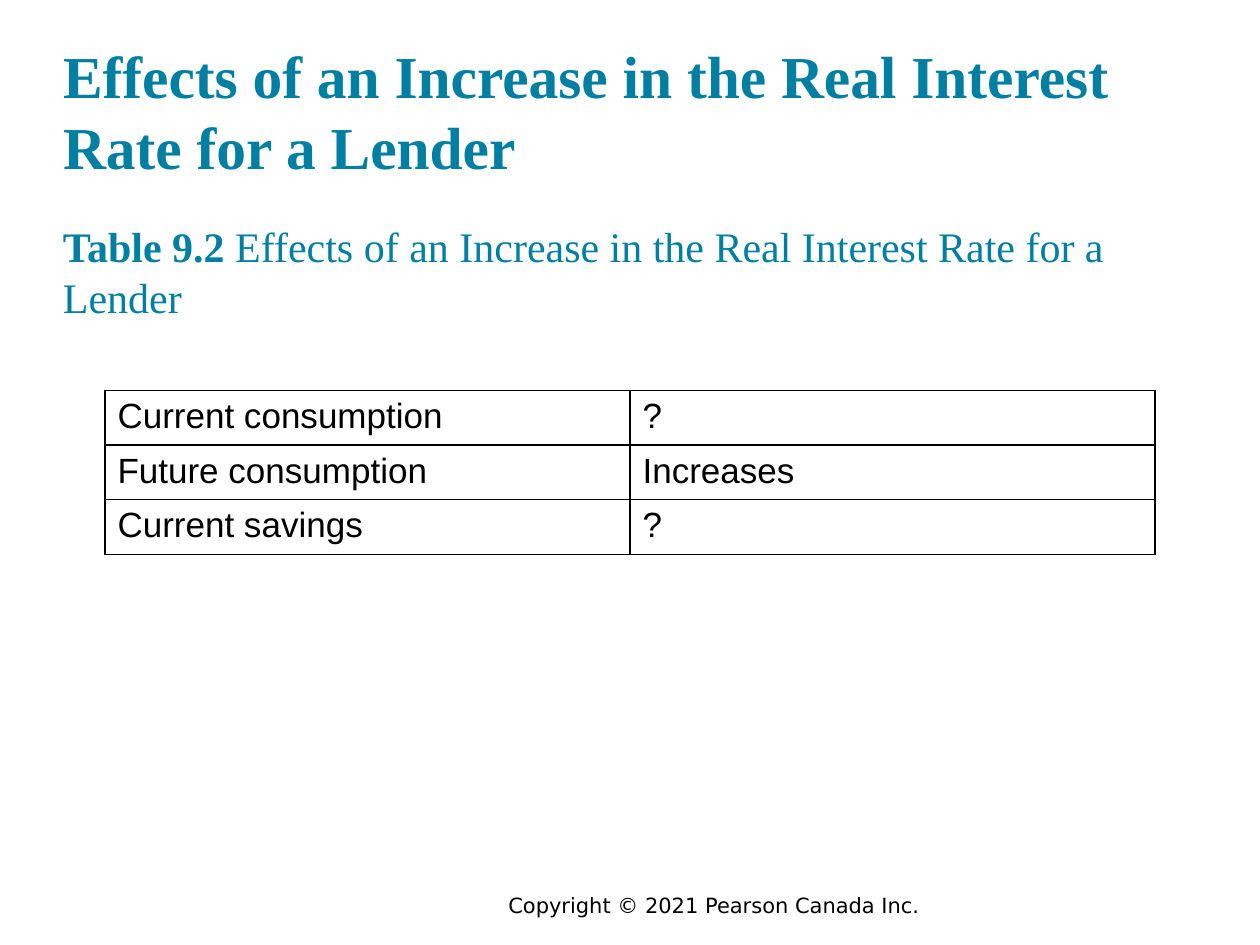
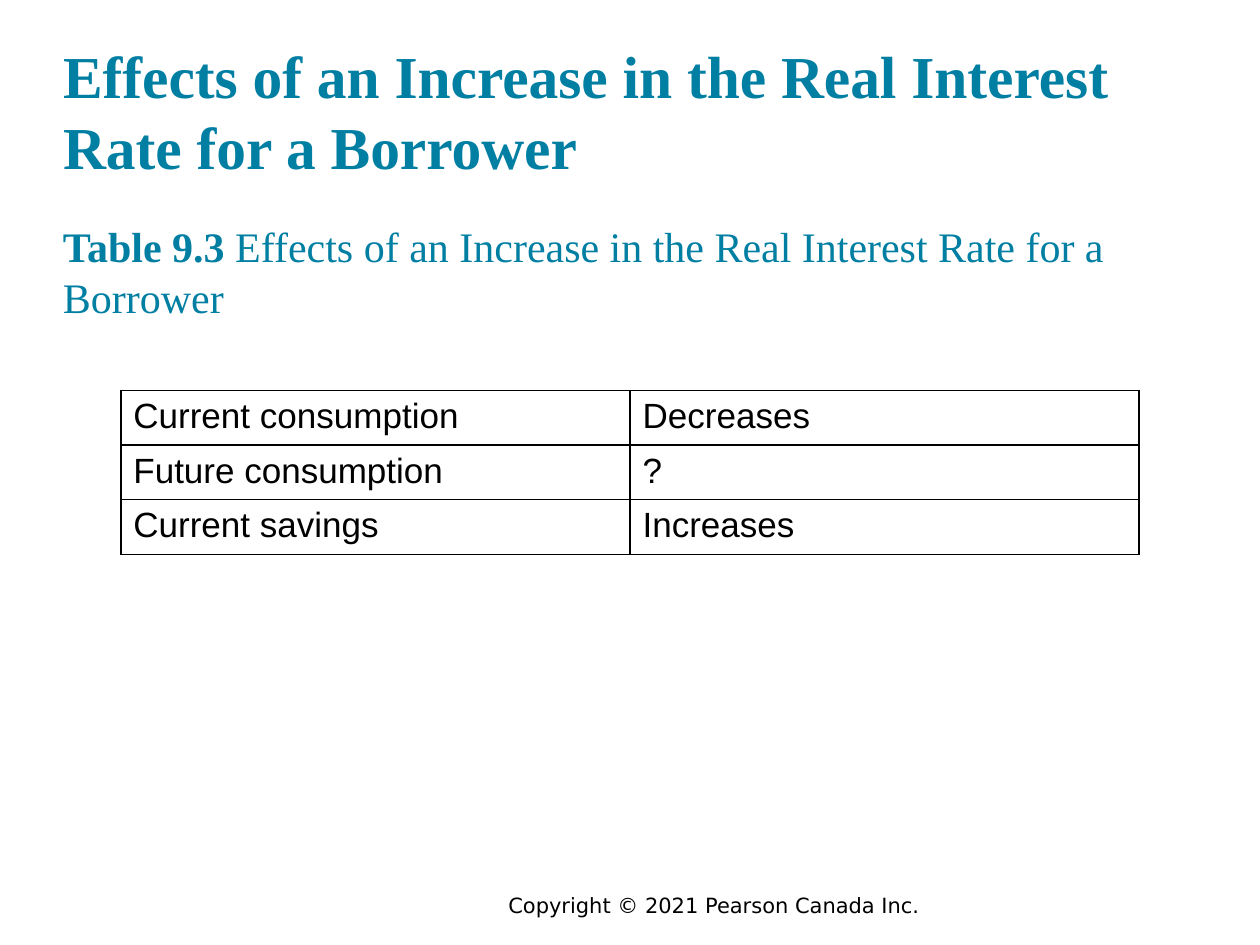
"""Build two slides on how a higher real interest rate affects lenders and borrowers."""
from lxml import etree
from pptx import Presentation
from pptx import util as u
from pptx.dml.color import RGBColor
from pptx.enum import text
from pptx.oxml import ns

TEAL = RGBColor(0x00, 0x7F, 0xA3)
BLACK = RGBColor(0x00, 0x00, 0x00)
SERIF, SANS, FOOTER_FONT = "Times New Roman", "Arial", "DejaVu Sans"
WIDTH, HEIGHT = u.Cm(25.4), u.Cm(19.05)
LEFT, TEXT_WIDTH = u.Cm(1.27), u.Cm(22.86)
ROW_HEIGHT = u.Cm(1.04)
HEADLINE = "Effects of an Increase in the Real Interest Rate for a "
FOOTER = "Copyright © 2021 Pearson Canada Inc."


def place(sp, left, top, width, height):
    sp.left, sp.top, sp.width, sp.height = left, top, width, height


def set_font(p, name, size, color, bold=None):
    f = p.font
    f.name, f.size, f.bold = name, u.Pt(size), bold
    f.color.rgb = color


def clear_insets(tf):
    tf.word_wrap = True
    tf.auto_size = text.MSO_AUTO_SIZE.NONE
    tf.margin_left = tf.margin_top = tf.margin_right = tf.margin_bottom = 0


def add_title(s, title):
    sp = s.shapes.title
    place(sp, LEFT, u.Cm(0.61), TEXT_WIDTH, u.Cm(3.05))
    tf = sp.text_frame
    clear_insets(tf)
    tf.vertical_anchor = text.MSO_ANCHOR.BOTTOM
    tf.text = title
    p = tf.paragraphs[0]
    p.alignment = text.PP_ALIGN.LEFT
    set_font(p, SERIF, 34, TEAL, True)


def add_caption(s, label, title):
    sp = s.shapes.add_textbox(LEFT, u.Cm(4.45), TEXT_WIDTH, u.Cm(2.54))
    tf = sp.text_frame
    clear_insets(tf)
    p = tf.paragraphs[0]
    set_font(p, SERIF, 24, TEAL)
    for words, bold in ((label, True), (" " + title, False)):
        r = p.add_run()
        r.text = words
        r.font.bold = bold


def add_borders(cell):
    tc_pr = cell._tc.get_or_add_tcPr()
    for i, side in enumerate(("a:lnL", "a:lnR", "a:lnT", "a:lnB")):
        ln = etree.Element(ns.qn(side), w=str(u.Pt(1)))
        fill = etree.SubElement(ln, ns.qn("a:solidFill"))
        etree.SubElement(fill, ns.qn("a:srgbClr"), val=str(BLACK))
        tc_pr.insert(i, ln)


def add_effects_table(s, rows, width):
    left = (WIDTH - width) // 2
    frame = s.shapes.add_table(len(rows), 2, left, u.Cm(7.87), width,
                               ROW_HEIGHT * len(rows))
    table = frame.table
    table.first_row = table.horz_banding = False
    for i, row in enumerate(rows):
        for j, words in enumerate(row):
            cell = table.cell(i, j)
            cell.text = words
            cell.fill.background()
            add_borders(cell)
            set_font(cell.text_frame.paragraphs[0], SANS, 20, BLACK)


def add_footer(s):
    sp = s.shapes.add_textbox(u.Cm(4.45), u.Cm(17.86), u.Cm(19.89), u.Cm(0.76))
    tf = sp.text_frame
    tf.word_wrap = True
    tf.text = FOOTER
    p = tf.paragraphs[0]
    p.alignment = text.PP_ALIGN.CENTER
    set_font(p, FOOTER_FONT, 12, BLACK)


def add_effects_slide(prs, who, label, effects, width):
    s = prs.slides.add_slide(prs.slide_layouts[5])
    measures = ("Current consumption", "Future consumption", "Current savings")
    add_footer(s)
    add_title(s, HEADLINE + who)
    add_caption(s, label, HEADLINE + who)
    add_effects_table(s, list(zip(measures, effects)), width)


def main():
    prs = Presentation()
    prs.slide_width, prs.slide_height = WIDTH, HEIGHT
    add_effects_slide(prs, "Lender", "Table 9.2", ("?", "Increases", "?"), u.Cm(21.17))
    add_effects_slide(prs, "Borrower", "Table 9.3",
                      ("Decreases", "?", "Increases"), u.Cm(20.53))
    prs.save("out.pptx")


if __name__ == "__main__":
    main()
